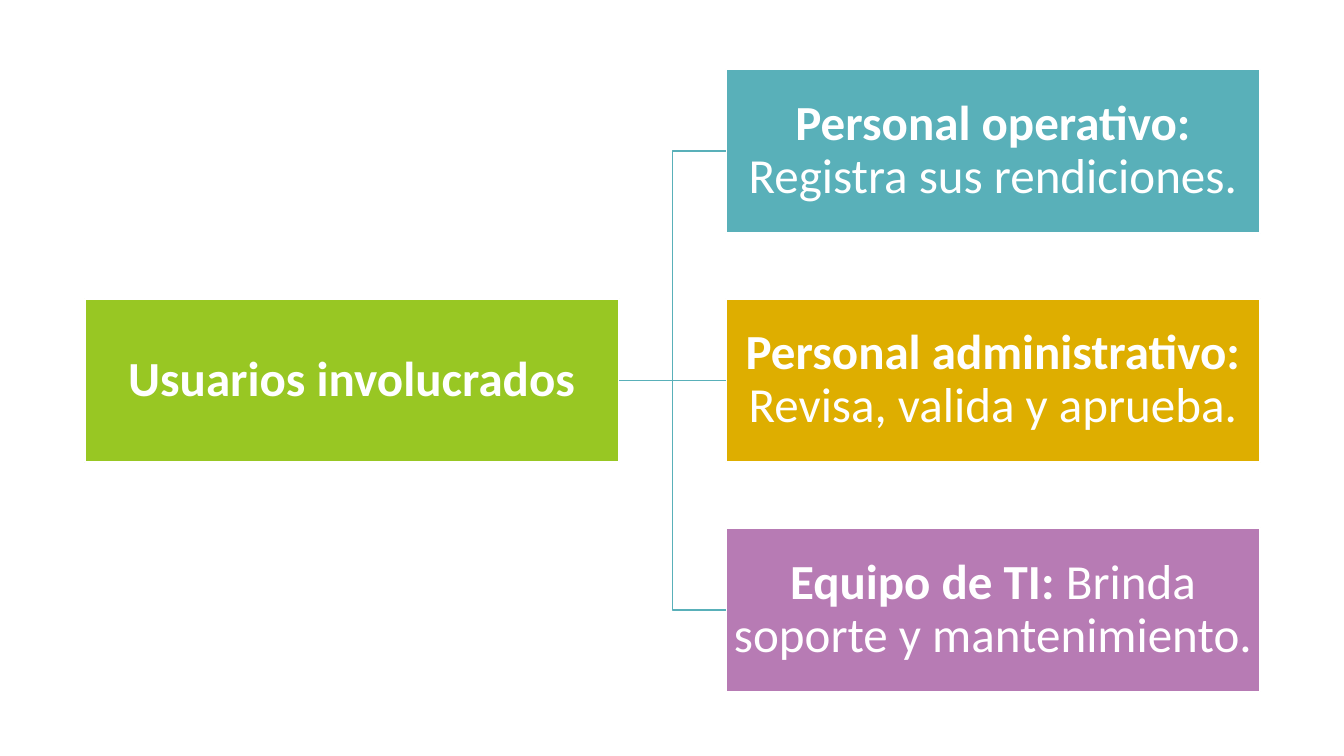
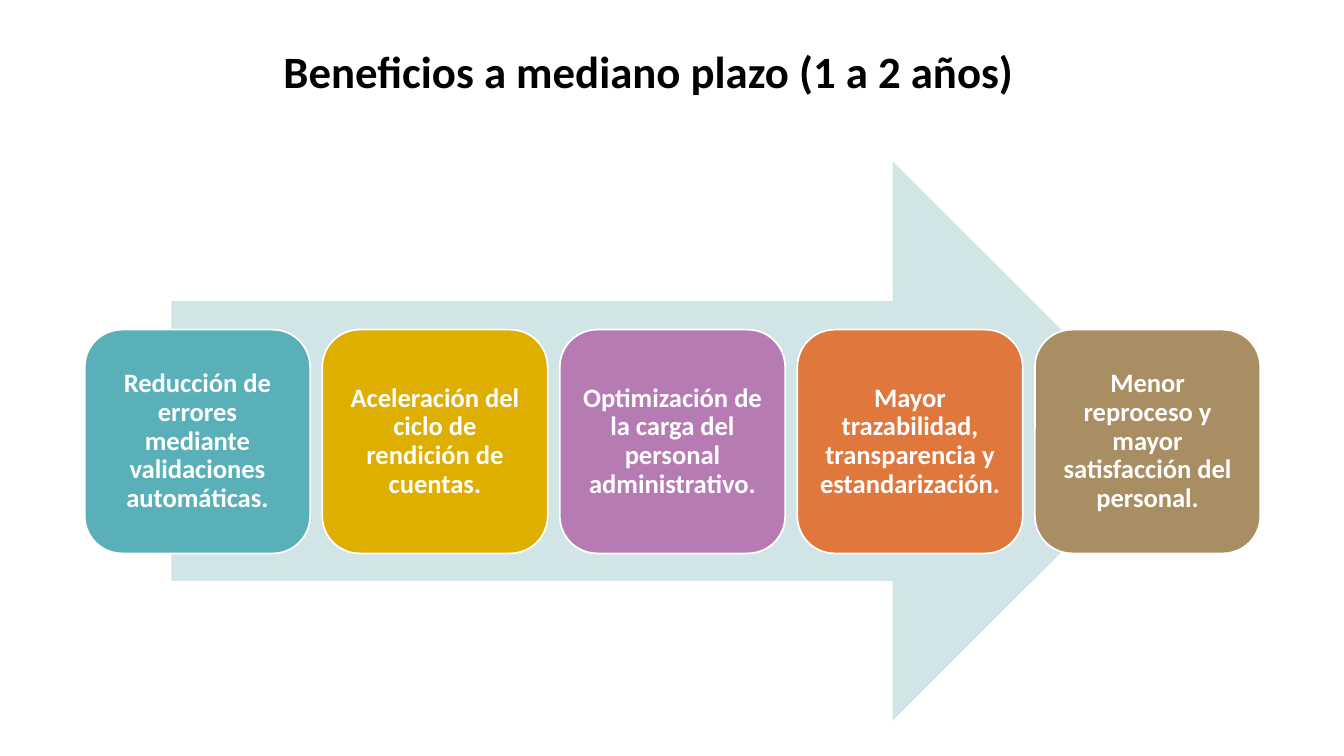
"""Build two slides: a tree of users and an arrow of benefits."""
import dataclasses

import lxml.etree
import pptx
import pptx.dml.color
import pptx.enum.shapes
import pptx.enum.text
import pptx.oxml.ns
import pptx.util

SHAPE = pptx.enum.shapes.MSO_SHAPE
LINK = pptx.enum.shapes.MSO_CONNECTOR
MIDDLE = pptx.enum.text.MSO_ANCHOR.MIDDLE
CENTER = pptx.enum.text.PP_ALIGN.CENTER
INCH = pptx.util.Inches


@dataclasses.dataclass(frozen=True)
class Theme:
    """Colours, type sizes and margins shared by the slides."""
    font: str = "Calibri"
    white: str = "FFFFFF"
    black: str = "000000"
    green: str = "98C723"
    teal: str = "59B0B9"
    gold: str = "DEAE00"
    plum: str = "B77BB4"
    rust: str = "E0773C"
    sand: str = "A98D63"
    pale: str = "D1E4E6"
    head: int = 32
    node: int = 35
    card: int = 19
    line: float = 1.25
    left: float = 0.84
    span: float = 11.66


THEME = Theme()
USERS = (
    (THEME.teal, "Personal operativo:", " Registra sus rendiciones."),
    (THEME.gold, "Personal administrativo:", " Revisa, valida y aprueba."),
    (THEME.plum, "Equipo de TI:", " Brinda soporte y mantenimiento."),
)
GAINS = (
    (THEME.teal, "Reducción de errores mediante validaciones automáticas."),
    (THEME.gold, "Aceleración del ciclo de rendición de cuentas."),
    (THEME.plum, "Optimización de la carga del personal administrativo."),
    (THEME.rust, "Mayor trazabilidad, transparencia y estandarización."),
    (THEME.sand, "Menor reproceso y mayor satisfacción del personal."),
)


def rgb(code):
    """Turn a hex code into a colour."""
    return pptx.dml.color.RGBColor.from_string(code)


def apply(item, **values):
    """Set each given attribute on an item."""
    for name, value in values.items():
        setattr(item, name, value)


def split(start, span, count, gap):
    """Return the starts and the size of equal cells along an axis."""
    size = (span - gap * (count - 1)) / count
    return [start + i * (size + gap) for i in range(count)], size


def style(run, size, color, bold=True):
    """Format one run of text."""
    apply(run.font, name=THEME.font, size=pptx.util.Pt(size), bold=bold)
    run.font.color.rgb = rgb(color)


def block(slide, kind, area, fill):
    """Draw a flat shape without an outline."""
    shape = slide.shapes.add_shape(kind, *map(INCH, area))
    shape.shadow.inherit = False
    shape.fill.solid()
    shape.fill.fore_color.rgb = rgb(fill)
    shape.line.fill.background()
    return shape


def box(slide, kind, area, fill, size, pad, bold, plain=""):
    """Draw an outlined box with bold and plain text."""
    shape = block(slide, kind, area, fill)
    shape.line.color.rgb = rgb(THEME.white)
    shape.line.width = pptx.util.Pt(THEME.line)
    frame = shape.text_frame
    sides = ("left", "top", "right", "bottom")
    apply(frame, word_wrap=True, vertical_anchor=MIDDLE,
          **{f"margin_{side}": INCH(pad) for side in sides})
    para = frame.paragraphs[0]
    apply(para, alignment=CENTER, line_spacing=0.9)
    for text, heavy in ((bold, True), (plain, False)):
        if text:
            run = para.add_run()
            run.text = text
            style(run, size, THEME.white, heavy)
    return shape


def join(slide, start, end):
    """Link the right side of one box to the left side of another."""
    level = start.top == end.top
    kind = LINK.STRAIGHT if level else LINK.ELBOW
    link = slide.shapes.add_connector(kind, 0, 0, 0, 0)
    link.begin_connect(start, 3)
    link.end_connect(end, 1)
    link.line.color.rgb = rgb(THEME.teal)
    link.line.width = pptx.util.Pt(THEME.line)
    tag = pptx.oxml.ns.qn("a:effectLst")
    lxml.etree.SubElement(link._element.spPr, tag)


def title(slide, text):
    """Place and format the slide title."""
    shape = slide.shapes.title
    apply(shape, left=INCH(0.61), top=INCH(0.34),
          width=INCH(11.65), height=INCH(0.73))
    shape.text_frame.vertical_anchor = MIDDLE
    para = shape.text_frame.paragraphs[0]
    para.alignment = CENTER
    run = para.add_run()
    run.text = text
    style(run, THEME.head, THEME.black)


def tree(slide):
    """Draw the users as a tree."""
    cols, wide = split(THEME.left, THEME.span, 2, 1.06)
    rows, high = split(0.69, 6.17, 3, 0.65)
    root = box(slide, SHAPE.RECTANGLE, (cols[0], rows[1], wide, high),
               THEME.green, THEME.node, 0.02, "Usuarios involucrados")
    for row, (fill, name, task) in zip(rows, USERS):
        leaf = box(slide, SHAPE.RECTANGLE, (cols[1], row, wide, high),
                   fill, THEME.node, 0.02, name, task)
        join(slide, root, leaf)


def gains(slide):
    """Draw the benefits along an arrow."""
    title(slide, "Beneficios a mediano plazo (1 a 2 años)")
    block(slide, SHAPE.RIGHT_ARROW, (1.7, 1.6, 9.93, 5.55), THEME.pale)
    cols, wide = split(THEME.left, THEME.span, len(GAINS), 0.12)
    for col, (fill, text) in zip(cols, GAINS):
        box(slide, SHAPE.ROUNDED_RECTANGLE, (col, 3.27, wide, 2.22),
            fill, THEME.card, 0.08, text)


def main():
    """Build and save the slides."""
    deck = pptx.Presentation()
    apply(deck, slide_width=INCH(13.33), slide_height=INCH(7.5))
    for layout, draw in ((6, tree), (5, gains)):
        draw(deck.slides.add_slide(deck.slide_layouts[layout]))
    deck.save("out.pptx")


if __name__ == "__main__":
    main()
